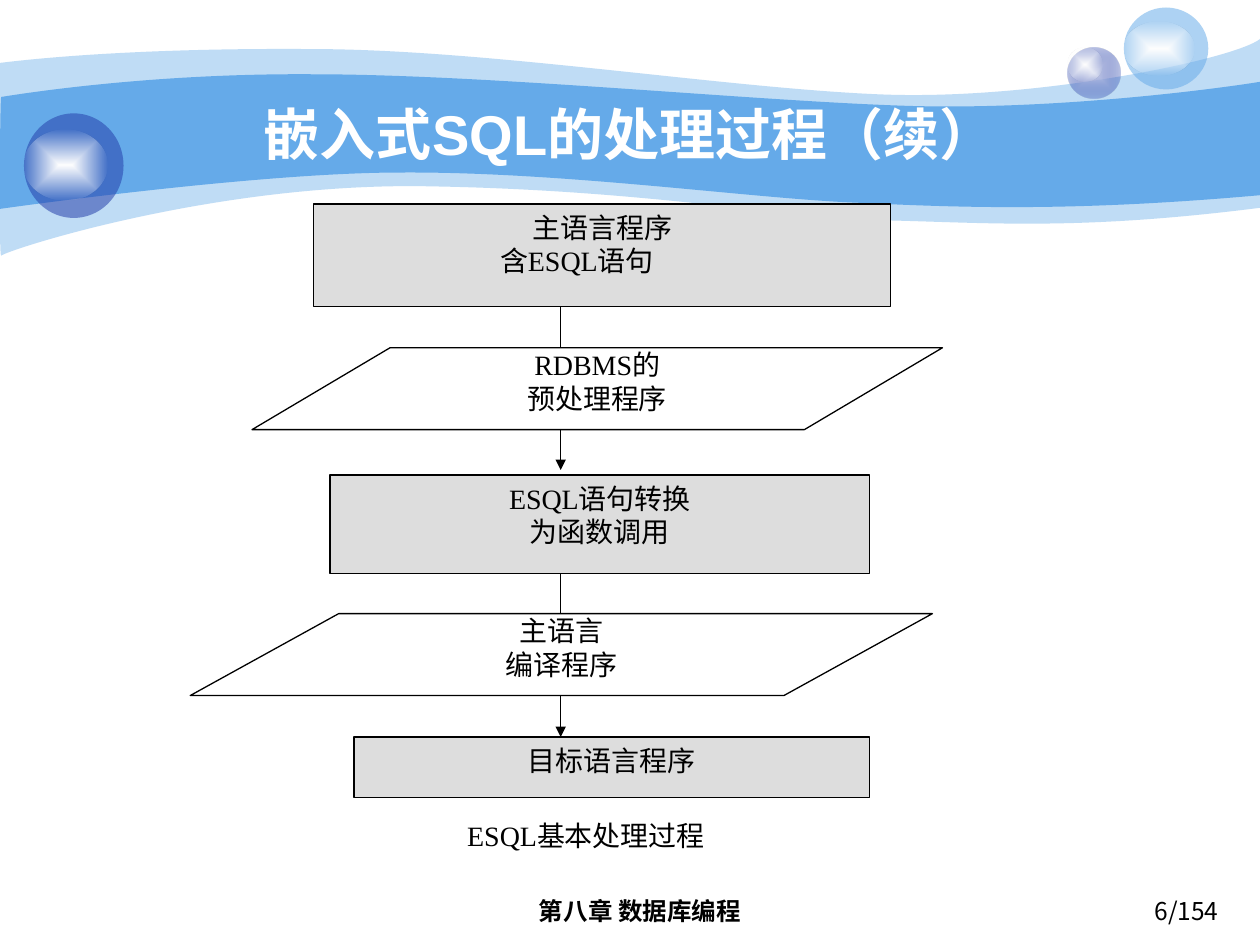
from lxml import etree
from pptx import Presentation
from pptx.dml.color import RGBColor
from pptx.enum import shapes, text
from pptx.oxml import ns
from pptx.util import Inches, Pt

BLACK = RGBColor(0x00, 0x00, 0x00)
WHITE = RGBColor(0xFF, 0xFF, 0xFF)
GREY = RGBColor(0xDD, 0xDD, 0xDD)
SKY = RGBColor(0x65, 0xAA, 0xE9)
NAVY = RGBColor(0x23, 0x3D, 0xA9)
LILAC = RGBColor(0xC7, 0xCE, 0xE9)
SERIF, SANS, CJK = "Times New Roman", "Arial", "Noto Sans CJK SC"
CENTER, RIGHT, LEFT = text.PP_ALIGN.CENTER, text.PP_ALIGN.RIGHT, text.PP_ALIGN.LEFT
TOP, MIDDLE = text.MSO_ANCHOR.TOP, text.MSO_ANCHOR.MIDDLE

# Each wave: opacity in percent, then an upper and a lower edge.
# An edge is a start point, then two controls and an end for each curve.
WAVES = [
    (41,
     [(0, 0.5), (0.24, 0.47), (1.07, 0.38), (2.47, 0.39), (3.86, 0.39), (5.75, 0.7),
      (6.99, 0.75), (8.22, 0.8), (9.8, 0.47), (10, 0.31)],
     [(10, 1.65), (8.58, 1.83), (7.87, 1.77), (7.05, 1.75), (6.22, 1.73), (5.15, 1.51),
      (3.43, 1.48), (1.72, 1.44), (0.04, 1.99), (0.01, 2.03), (-0.01, 2.08), (0, 0.75),
      (0, 0.5)]),
    (100,
     [(0.01, 0.77), (0.02, 0.77), (1.1, 0.58), (2.48, 0.59), (3.86, 0.59), (5.95, 0.8),
      (7.18, 0.84), (8.41, 0.88), (9.76, 0.69), (10, 0.65)],
     [(10, 1.55), (8.53, 1.68), (7.65, 1.65), (6.82, 1.61), (5.99, 1.58), (4.47, 1.36),
      (3.17, 1.37), (2.03, 1.37), (-0.02, 1.66), (-0.01, 1.66), (0, 1.66), (0, 0.77),
      (0.01, 0.77)]),
]
# Bubble place, inner colour, outer colour, outer opacity, place of its shine
BUBBLES = [
    ((8.47, 0.38, 0.42, 0.4), LILAC, NAVY, 31, (8.47, 0.38, 0.28, 0.27)),
    ((8.92, 0.06, 0.67, 0.65), None, SKY, 53, (8.92, 0.17, 0.56, 0.43)),
    ((0.19, 0.9, 0.79, 0.83), None, NAVY, 53, (0.19, 1.03, 0.66, 0.56)),
]
PLAIN_LABELS = [
    ((1, 0.75, 8, 0.62), "嵌入式SQL的处理过程（续）", CENTER, MIDDLE,
     dict(size=Pt(32), name=SANS, bold=True), WHITE),
    ((3.11, 7.06, 3.94, 0.35), "第八章 数据库编程", CENTER, TOP,
     dict(size=Pt(14), name=SANS, bold=True), BLACK),
    ((7.44, 7.06, 2.33, 0.39), "6/154", RIGHT, TOP, dict(size=Pt(14), name=CJK), BLACK),
]
ARROW_X = 4.45
ARROWS = [(4.38, 5.85), (2.27, 3.73)]
# Each line of a step: words, alignment, left indent
STEPS = [
    ("data", (2.49, 1.62, 4.58, 0.81),
     [("主语言程序", CENTER, 0), ("含ESQL语句", LEFT, 1.38)]),
    ("tool", (2, 2.76, 5.48, 0.65), [("RDBMS的", CENTER, 0), ("预处理程序", CENTER, 0)]),
    ("data", (2.62, 3.77, 4.28, 0.78),
     [("ESQL语句转换", CENTER, 0), ("为函数调用", CENTER, 0)]),
    ("tool", (1.51, 4.87, 5.89, 0.65), [("主语言", CENTER, 0), ("编译程序", CENTER, 0)]),
    ("data", (2.81, 5.85, 4.09, 0.48), [("目标语言程序", CENTER, 0)]),
    ("caption", (1.46, 6.5, 6.38, 0.32), [("ESQL基本处理过程", CENTER, 0)]),
]
KINDS = {
    "data": (shapes.MSO_SHAPE.FLOWCHART_PROCESS, GREY, BLACK, (0.1, 0.05)),
    "tool": (shapes.MSO_SHAPE.FLOWCHART_DATA, WHITE, BLACK, (0.04, 0)),
    "caption": (shapes.MSO_SHAPE.RECTANGLE, WHITE, None, (0.04, 0)),
}
STEP_FONT = dict(size=Pt(16), name=SERIF)


def add_xml(parent, tag, **values):
    return etree.SubElement(parent, ns.qn(tag), values)


def paint(shape, fill, line=None, opacity=100):
    shape.shadow.inherit = False
    shape.fill.solid()
    shape.fill.fore_color.rgb = fill
    if opacity < 100:
        color = shape.fill._xPr.find(ns.qn("a:solidFill"))[0]
        add_xml(color, "a:alpha", val=str(opacity * 1000))
    if line is None:
        shape.line.fill.background()
    else:
        shape.line.color.rgb = line
        shape.line.width = Pt(0.75)


def paint_glow(shape, inner, outer, opacity):
    """Fill from the centre outwards, fading to the given opacity."""
    paint(shape, inner)
    solid = shape.fill._xPr.find(ns.qn("a:solidFill"))
    glow = etree.Element(ns.qn("a:gradFill"), rotWithShape="1")
    stops = add_xml(glow, "a:gsLst")
    for place, color, alpha in [(0, inner, 100), (100, outer, opacity)]:
        stop = add_xml(stops, "a:gs", pos=str(place * 1000))
        add_xml(add_xml(stop, "a:srgbClr", val=str(color)), "a:alpha", val=str(alpha * 1000))
    rect = add_xml(glow, "a:path", path="rect")
    add_xml(rect, "a:fillToRect", **dict.fromkeys("ltrb", "50000"))
    solid.getparent().replace(solid, glow)


def add_wave(page, upper, lower):
    """Outline through both edges, with each three points after a start made one curve."""
    points = [(Inches(x), Inches(y)) for x, y in upper + lower]
    builder = page.shapes.build_freeform(*points[0])
    builder.add_line_segments(points[1:], close=True)
    wave = builder.convert_to_shape()
    lines = list(wave._element.iter(ns.qn("a:lnTo")))
    bend = len(upper) - 1
    for edge in (lines[:bend], lines[bend + 1:]):
        for i in range(0, len(edge), 3):
            curve = etree.Element(ns.qn("a:cubicBezTo"))
            edge[i].addprevious(curve)
            for line in edge[i:i + 3]:
                curve.append(line[0])
                line.getparent().remove(line)
    return wave


def write(box, lines, font, color, anchor=TOP, inset=(0.1, 0.05)):
    frame = box.text_frame
    side, end = map(Inches, inset)
    for key, value in dict(word_wrap=True, vertical_anchor=anchor, margin_left=side,
                           margin_right=side, margin_top=end, margin_bottom=end).items():
        setattr(frame, key, value)
    for i, (words, align, indent) in enumerate(lines):
        para = frame.add_paragraph() if i else frame.paragraphs[0]
        para.alignment = align
        if indent:
            para._p.get_or_add_pPr().set("marL", str(Inches(indent)))
        span = para.add_run()
        span.text = words
        for key, value in font.items():
            setattr(span.font, key, value)
        span.font.color.rgb = color
        add_xml(span._r.get_or_add_rPr(), "a:ea", typeface=CJK)


def add_arrow(page, start, end):
    arrow = page.shapes.add_connector(
        shapes.MSO_CONNECTOR.STRAIGHT, *map(Inches, (ARROW_X, start, ARROW_X, end)))
    arrow.line.color.rgb = BLACK
    arrow.line.width = Pt(0.75)
    add_xml(arrow.line._get_or_add_ln(), "a:tailEnd", type="triangle")
    add_xml(arrow._element.spPr, "a:effectLst")


def main():
    deck = Presentation()
    deck.slide_width, deck.slide_height = Inches(10), Inches(7.5)
    page = deck.slides.add_slide(deck.slide_layouts[6])

    for opacity, upper, lower in WAVES:
        paint(add_wave(page, upper, lower), SKY, opacity=opacity)

    for place, inner, outer, opacity, shine_place in BUBBLES:
        bubble, shine = (page.shapes.add_shape(shapes.MSO_SHAPE.OVAL, *map(Inches, at))
                         for at in (place, shine_place))
        if inner is None:
            paint(bubble, outer, opacity=opacity)
        else:
            paint_glow(bubble, inner, outer, opacity)
        paint_glow(shine, WHITE, WHITE, 0)

    for place, words, align, anchor, font, color in PLAIN_LABELS:
        box = page.shapes.add_textbox(*map(Inches, place))
        write(box, [(words, align, 0)], font, color, anchor)

    for start, end in ARROWS:
        add_arrow(page, start, end)

    for kind, place, lines in STEPS:
        outline, fill, line, inset = KINDS[kind]
        step = page.shapes.add_shape(outline, *map(Inches, place))
        paint(step, fill, line)
        write(step, lines, STEP_FONT, BLACK, inset=inset)

    deck.save("out.pptx")


if __name__ == "__main__":
    main()
